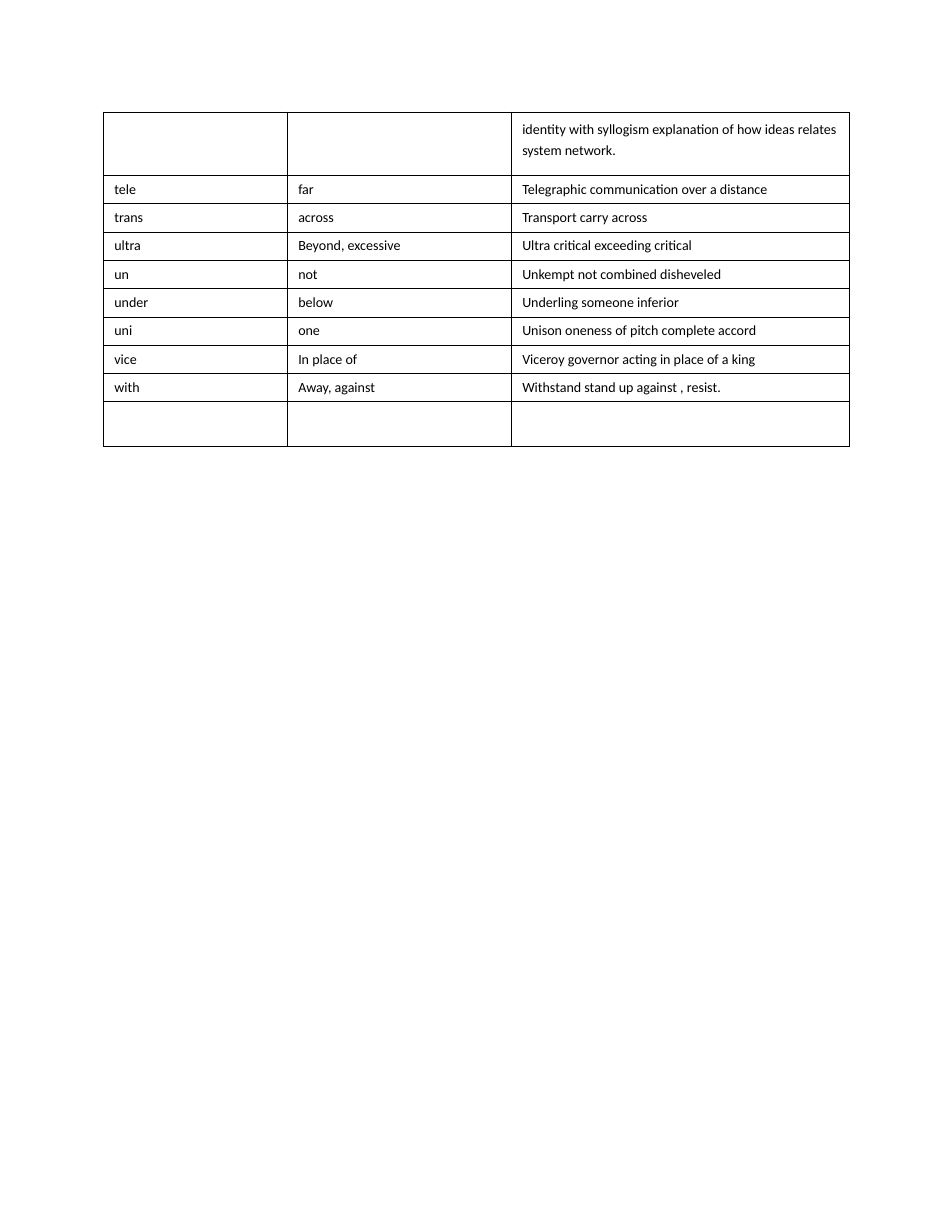
import pptx
import pptx.dml.color
import pptx.enum.text
import pptx.oxml
import pptx.oxml.ns
import pptx.util
from pptx.util import Cm

COLOURS = {"ink": "000000"}
COLUMN_WIDTHS = [4.17, 5.08, 7.67]
TOP_ROW, WORD_ROW, LAST_ROW = 1.44, 0.64, 1.02

PREFIXES = [
    ("", "", "identity with syllogism explanation of how ideas relates system network."),
    ("tele", "far", "Telegraphic communication over a distance"),
    ("trans", "across", "Transport carry across"),
    ("ultra", "Beyond, excessive", "Ultra critical exceeding critical"),
    ("un", "not", "Unkempt not combined disheveled"),
    ("under", "below", "Underling someone inferior"),
    ("uni", "one", "Unison oneness of pitch complete accord"),
    ("vice", "In place of", "Viceroy governor acting in place of a king"),
    ("with", "Away, against", "Withstand stand up against , resist."),
    ("", "", ""),
]


def add_borders(cell):
    properties = cell._tc.get_or_add_tcPr()
    for position, side in enumerate(("lnL", "lnR", "lnT", "lnB")):
        border = pptx.oxml.parse_xml(
            f'<a:{side} {pptx.oxml.ns.nsdecls("a")} w="{pptx.util.Pt(0.45)}">'
            f'<a:solidFill><a:srgbClr val="{COLOURS["ink"]}"/></a:solidFill></a:{side}>'
        )
        properties.insert(position, border)


presentation = pptx.Presentation()
presentation.slide_width = Cm(21.59)
presentation.slide_height = Cm(27.94)
slide = presentation.slides.add_slide(presentation.slide_layouts[6])

row_heights = [TOP_ROW] + [WORD_ROW] * (len(PREFIXES) - 2) + [LAST_ROW]
table = slide.shapes.add_table(
    len(PREFIXES), len(COLUMN_WIDTHS), Cm(2.34), Cm(2.54),
    Cm(sum(COLUMN_WIDTHS)), Cm(sum(row_heights)),
).table
table.first_row = False
table.horz_banding = False
for column, width in zip(table.columns, COLUMN_WIDTHS):
    column.width = Cm(width)

for row, height, texts in zip(table.rows, row_heights, PREFIXES):
    row.height = Cm(height)
    for cell, text in zip(row.cells, texts):
        cell.fill.background()
        add_borders(cell)
        cell.text = text
        paragraph = cell.text_frame.paragraphs[0]
        paragraph.font.name = "Calibri"
        paragraph.font.size = pptx.util.Pt(9)
        paragraph.font.color.rgb = pptx.dml.color.RGBColor.from_string(COLOURS["ink"])
        if height == WORD_ROW:
            cell.vertical_anchor = pptx.enum.text.MSO_ANCHOR.BOTTOM
        elif text:
            paragraph.line_spacing = pptx.util.Pt(13.5)

presentation.save("out.pptx")
